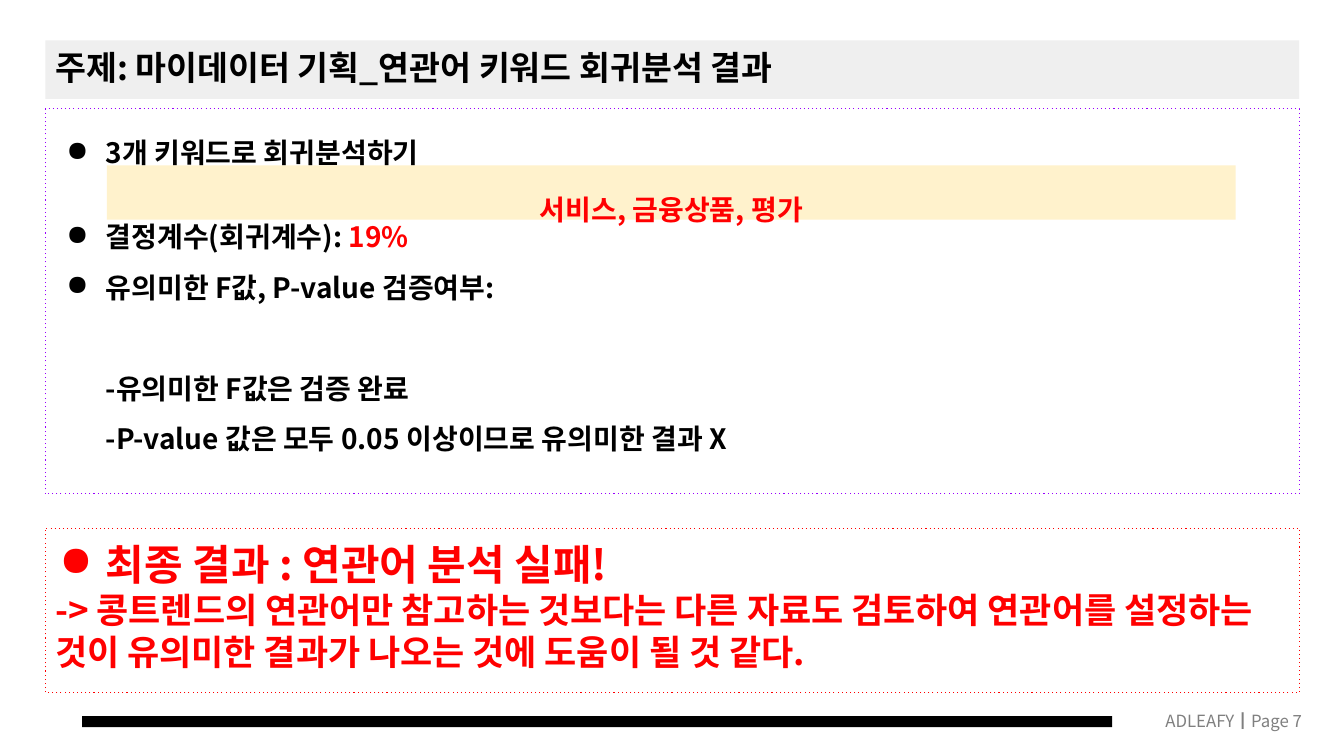
from lxml.etree import SubElement
from pptx import Presentation
from pptx.dml.color import RGBColor as RGB
from pptx.enum.dml import MSO_LINE as Dash
from pptx.enum.shapes import MSO_SHAPE as Shape
from pptx.enum.text import MSO_ANCHOR as Anchor, PP_ALIGN as Align
from pptx.oxml.ns import qn
from pptx.util import Pt

COLORS = {
    "black": "000000",
    "white": "FFFFFF",
    "red": "FF0000",
    "purple": "9900FF",
    "band": "EFEFEF",
    "cream": "FFF2CC",
    "footer": "7F7F7F",
}
LEFT, WIDTH = 32.4, 895.7


class SlideStyle:
    font = "Noto Sans CJK KR"

    def __init__(self, slide):
        self.slide = slide

    def color(self, name):
        return RGB.from_string(COLORS[name])

    def frame(self, box, anchor=Anchor.TOP, side=7.2, edge=7.2, right=7.2):
        frame = box.text_frame
        values = {
            "word_wrap": True,
            "vertical_anchor": anchor,
            "margin_left": Pt(side),
            "margin_right": Pt(right),
            "margin_top": Pt(edge),
            "margin_bottom": Pt(edge),
        }
        for name, value in values.items():
            setattr(frame, name, value)
        return box

    def panel(self, left, top, width, height, fill, border=None, **frame):
        box = self.slide.shapes.add_shape(
            Shape.RECTANGLE, Pt(left), Pt(top), Pt(width), Pt(height))
        box.shadow.inherit = False
        box.fill.solid()
        box.fill.fore_color.rgb = self.color(fill)
        if border:
            box.line.color.rgb = self.color(border)
            box.line.width = Pt(0.75)
            box.line.dash_style = Dash.ROUND_DOT
            next(box.element.iter(qn("a:prstDash"))).set("val", "dot")
        else:
            box.line.fill.background()
        return self.frame(box, **frame)

    def label(self, left, top, width, height, **frame):
        box = self.slide.shapes.add_textbox(
            Pt(left), Pt(top), Pt(width), Pt(height))
        return self.frame(box, **frame)

    def paragraph(self, box, spans, size, bold=True, indent=0, hang=0,
                  bullet=None, **layout):
        frame = box.text_frame
        para = frame.paragraphs[0]
        if para.runs:
            para = frame.add_paragraph()
        for name, value in {"alignment": Align.LEFT, **layout}.items():
            setattr(para, name, value)
        props = para._p.get_or_add_pPr()
        props.set("marL", str(Pt(indent)))
        props.set("indent", str(Pt(-hang)))
        if bullet:
            tint = SubElement(props, qn("a:buClr"))
            SubElement(tint, qn("a:srgbClr"), val=COLORS[bullet])
            SubElement(props, qn("a:buChar"), char="●")
        for text, color in spans:
            self.span(para, text, color, size, bold)

    def span(self, para, text, color, size, bold):
        span = para.add_run()
        span.text = text
        values = {"name": self.font, "size": Pt(size), "bold": bold}
        for name, value in values.items():
            setattr(span.font, name, value)
        span.font.color.rgb = self.color(color)
        SubElement(span.font._element, qn("a:ea"), typeface=self.font)


def main():
    deck = Presentation()
    deck.slide_width, deck.slide_height = Pt(960), Pt(540)
    page = SlideStyle(deck.slides.add_slide(deck.slide_layouts[6]))

    footer = page.label(727.2, 500.4, 216, 28.8, anchor=Anchor.MIDDLE,
                        edge=3.6, right=13)
    page.paragraph(footer, [("ADLEAFY┃Page 7", "footer")], 12, bold=False,
                   alignment=Align.RIGHT)
    page.panel(58.7, 511.5, 735.8, 7.9, "black")

    title = page.panel(LEFT, 28.8, WIDTH, 41.8, "band",
                       anchor=Anchor.MIDDLE, edge=3.6)
    page.paragraph(title, [("주제: 마이데이터 기획_연관어 키워드 회귀분석 결과", "black")],
                   24, line_spacing=0.9)

    findings = page.panel(LEFT, 77.8, WIDTH, 275, "white", "purple")
    bulleted = {"hang": 28, "bullet": "black"}
    lines = [
        ([("3개 키워드로 회귀분석하기", "black")],
         {**bulleted, "space_after": Pt(24)}),
        ([("결정계수(회귀계수): ", "black"), ("19%", "red")], bulleted),
        ([("유의미한 F값, P-value 검증여부:", "black")],
         {**bulleted, "space_after": Pt(36)}),
        ([("-유의미한 F값은 검증 완료", "black")], {}),
        ([("-P-value 값은 모두 0.05 이상이므로 유의미한 결과 X", "black")], {}),
    ]
    for spans, layout in lines:
        page.paragraph(findings, spans, 20, indent=36, line_spacing=1.5,
                       **layout)

    keywords = page.panel(76.3, 118.1, 806.4, 38.9, "cream")
    page.paragraph(keywords, [("서비스, 금융상품, 평가", "red")], 20,
                   alignment=Align.CENTER, line_spacing=1.5)

    verdict = page.panel(LEFT, 377.3, WIDTH, 117.4, "white", "red")
    page.paragraph(verdict, [("최종 결과 : 연관어 분석 실패!", "red")], 30,
                   indent=36, hang=33, bullet="red")
    page.paragraph(verdict, [(
        "-> 콩트렌드의 연관어만 참고하는 것보다는 다른 자료도 검토하여 연관어를 설정하는 "
        "것이 유의미한 결과가 나오는 것에 도움이 될 것 같다.", "red")], 25)

    deck.save("out.pptx")


if __name__ == "__main__":
    main()
